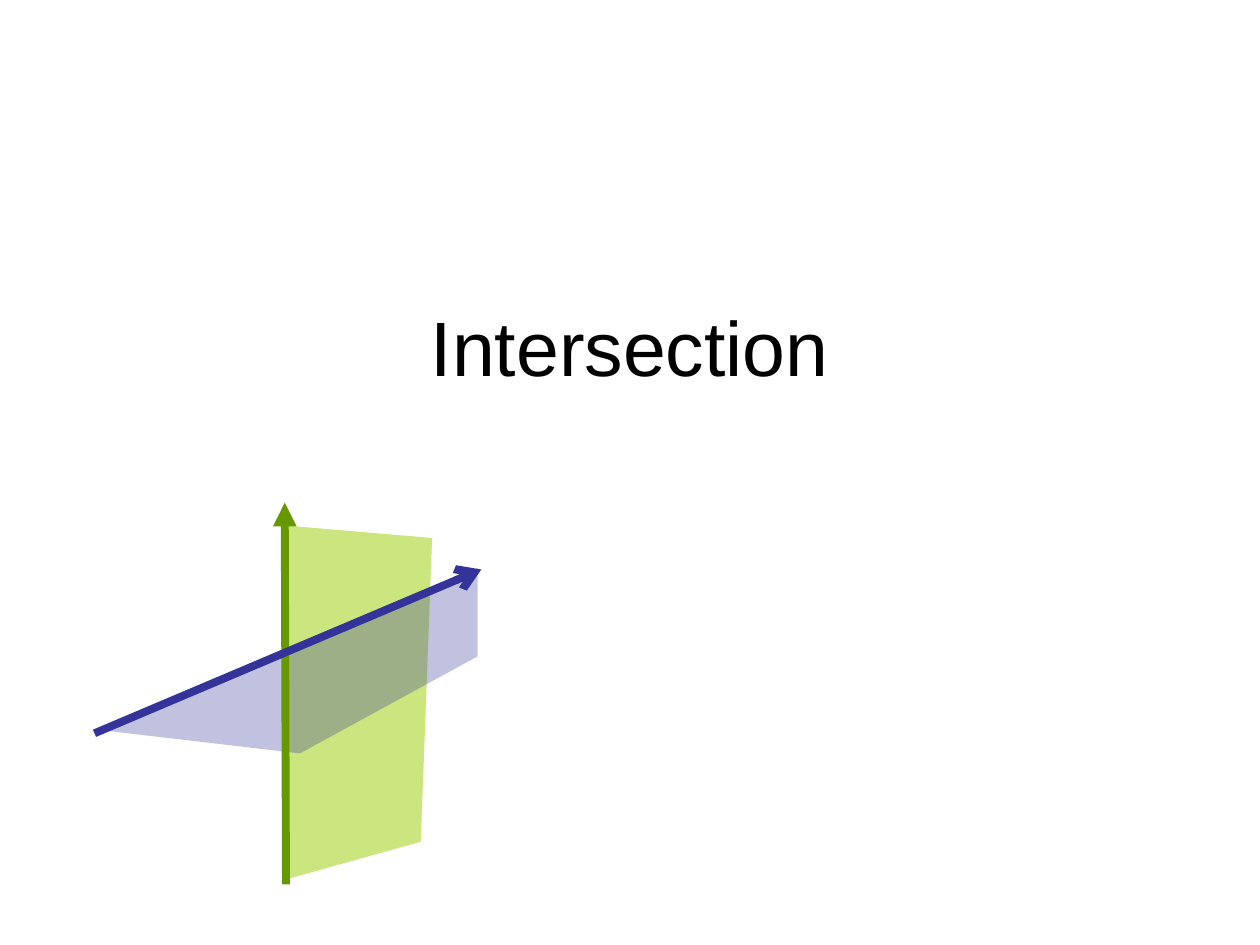
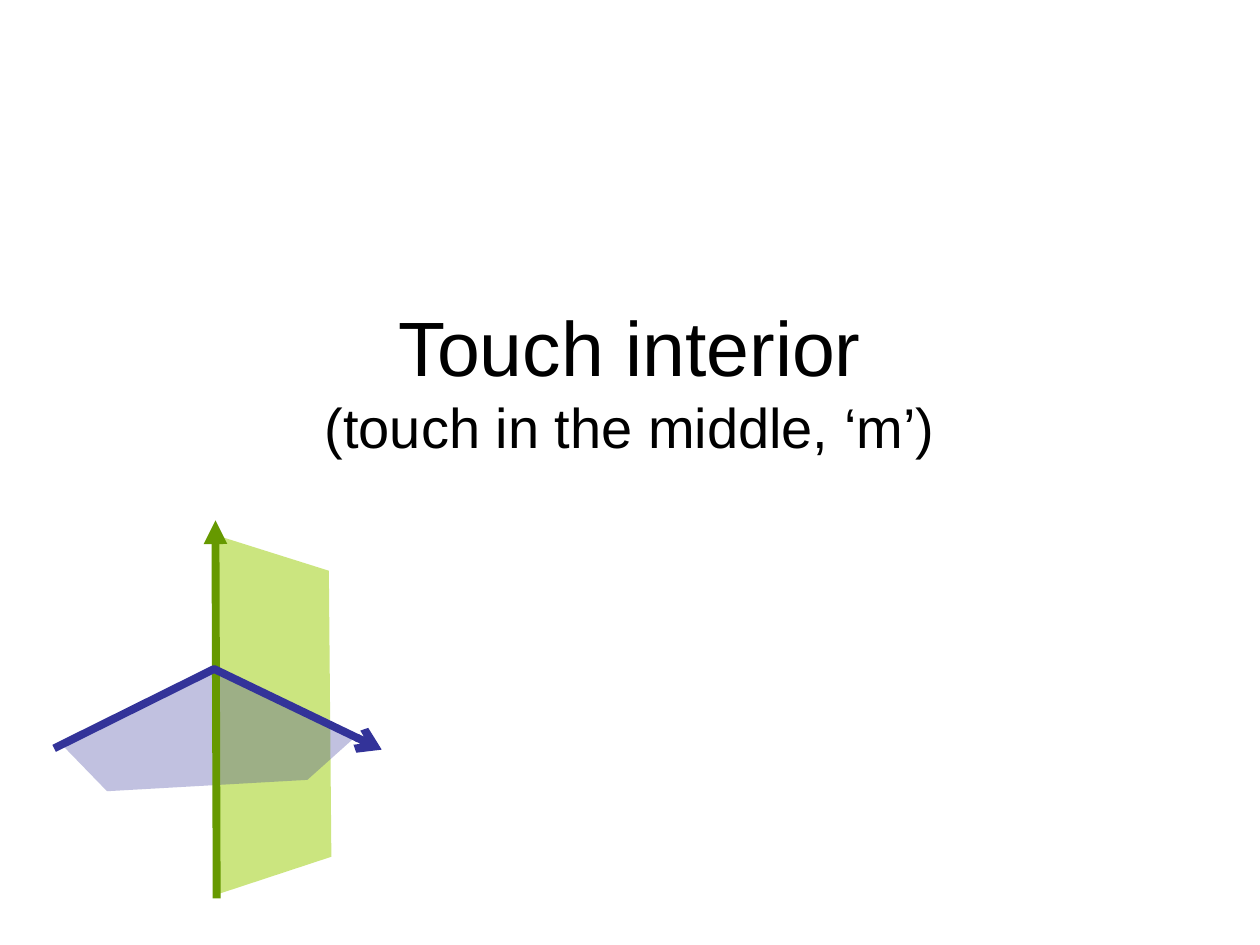
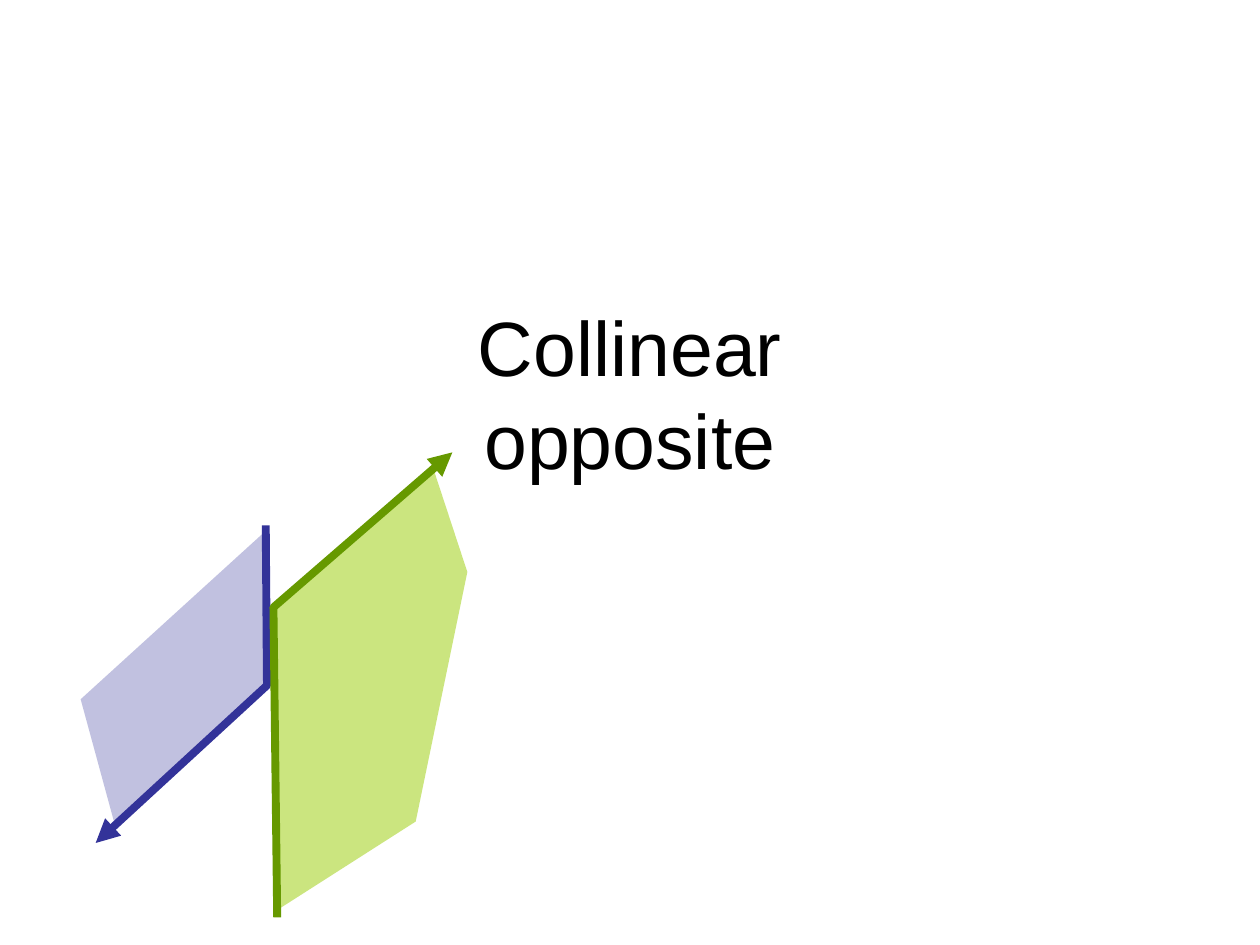
from dataclasses import dataclass

from lxml import etree
from pptx import Presentation
from pptx import util as u
from pptx.dml.color import RGBColor
from pptx.enum import shapes, text
from pptx.oxml.ns import qn


@dataclass(frozen=True)
class Hue:
    face: RGBColor
    edge: RGBColor
    alpha: int  # percent opacity of the face


@dataclass(frozen=True)
class Theme:
    font: str = "Arial"
    ink: RGBColor = RGBColor(0x00, 0x00, 0x00)
    title: int = 44
    subtitle: int = 32
    edge_width: float = 4.5
    green: Hue = Hue(RGBColor(0x99, 0xCC, 0x00), RGBColor(0x66, 0x99, 0x00), 50)
    blue: Hue = Hue(RGBColor(0x33, 0x33, 0x99), RGBColor(0x33, 0x33, 0x99), 30)


T = Theme()
TITLE_BOX = (0.75, 2.33, 8.5, 1.61)


def add_title(s, box, lines):
    """Centred title; lines is a list of (text, size) joined by line breaks."""
    tf = s.shapes.add_textbox(*map(u.Inches, box)).text_frame
    tf.word_wrap = True
    tf.vertical_anchor = text.MSO_ANCHOR.TOP
    p = tf.paragraphs[0]
    p.alignment = text.PP_ALIGN.CENTER
    for i, (line, size) in enumerate(lines):
        if i:
            p.add_line_break()
        r = p.add_run()
        r.text = line
        r.font.name = T.font
        r.font.size = u.Pt(size)
        r.font.color.rgb = T.ink


def place(origin, points):
    """Points in inches from the origin, as lengths on the slide."""
    return [(u.Inches(origin[0] + x), u.Inches(origin[1] + y)) for x, y in points]


def add_outline(parent, points, close):
    builder = parent.build_freeform(*points[0], scale=1.0)
    builder.add_line_segments(points[1:], close=close)
    sp = builder.convert_to_shape()
    sp.shadow.inherit = False
    return sp


def add_face(parent, origin, hue, points):
    sp = add_outline(parent, place(origin, points), True)
    sp.fill.solid()
    sp.fill.fore_color.rgb = hue.face
    sp.line.fill.background()
    clr = sp._element.spPr.find(qn("a:solidFill")).find(qn("a:srgbClr"))
    etree.SubElement(clr, qn("a:alpha"), val=str(hue.alpha * 1000))


def add_edge(parent, origin, hue, points, head="triangle"):
    """Arrow through the points: a connector if straight, else an open outline."""
    points = place(origin, points)
    if len(points) == 2:
        sp = parent.add_connector(shapes.MSO_CONNECTOR.STRAIGHT, *points[0], *points[1])
    else:
        sp = add_outline(parent, points, False)
        sp.fill.background()
    sp.line.color.rgb = hue.edge
    sp.line.width = u.Pt(T.edge_width)
    sp_pr = sp._element.spPr
    etree.SubElement(sp_pr.find(qn("a:ln")), qn("a:tailEnd"), type=head)
    if len(points) == 2:
        etree.SubElement(sp_pr, qn("a:effectLst"))


def draw_intersection(s, origin):
    group = s.shapes.add_group_shape().shapes
    add_face(group, origin, T.green, [(1.52, 2.99), (1.51, 0.18), (2.68, 0.28), (2.59, 2.69)])
    add_face(group, origin, T.blue, [(3.04, 0.52), (3.04, 1.22), (1.63, 1.99), (0.09, 1.81)])
    add_edge(group, origin, T.green, [(1.52, 3.03), (1.51, 0)])
    add_edge(group, origin, T.blue, [(0, 1.83), (3.07, 0.53)], "arrow")


def draw_touch_interior(s, origin):
    add_face(s.shapes, origin, T.green, [(1.29, 2.97), (1.26, 0.11), (2.18, 0.4), (2.2, 2.67)])
    add_face(s.shapes, origin, T.blue,
             [(1.27, 1.19), (2.39, 1.72), (2.01, 2.06), (0.42, 2.15), (0.08, 1.8)])
    add_edge(s.shapes, origin, T.green, [(1.29, 3), (1.28, 0)])
    add_edge(s.shapes, origin, T.blue, [(0, 1.81), (1.27, 1.18), (2.6, 1.82)], "arrow")


def draw_collinear_opposite(s, origin):
    add_face(s.shapes, origin, T.blue, [(0.27, 2.95), (0, 1.96), (1.44, 0.65), (1.45, 1.84)])
    add_edge(s.shapes, origin, T.blue, [(1.47, 0.58), (1.48, 1.85), (0.12, 3.1)])
    add_face(s.shapes, origin, T.green,
             [(1.58, 3.62), (1.54, 1.22), (2.8, 0.13), (3.07, 0.95), (2.66, 2.93)])
    add_edge(s.shapes, origin, T.green, [(1.56, 3.69), (1.53, 1.23), (2.95, 0)])


SLIDES = [
    ([("Intersection", T.title)], draw_intersection, (0.75, 3.99)),
    ([("Touch interior", T.title), ("(touch in the middle, ‘m’)", T.subtitle)],
     draw_touch_interior, (0.43, 4.13)),
    ([("Collinear", T.title), ("opposite", T.title)], draw_collinear_opposite, (0.64, 3.59)),
]


def main():
    prs = Presentation()
    prs.slide_width, prs.slide_height = u.Inches(10), u.Inches(7.5)
    for title, draw, origin in SLIDES:
        s = prs.slides.add_slide(prs.slide_layouts[6])
        add_title(s, TITLE_BOX, title)
        draw(s, origin)
    prs.save("out.pptx")


if __name__ == "__main__":
    main()
